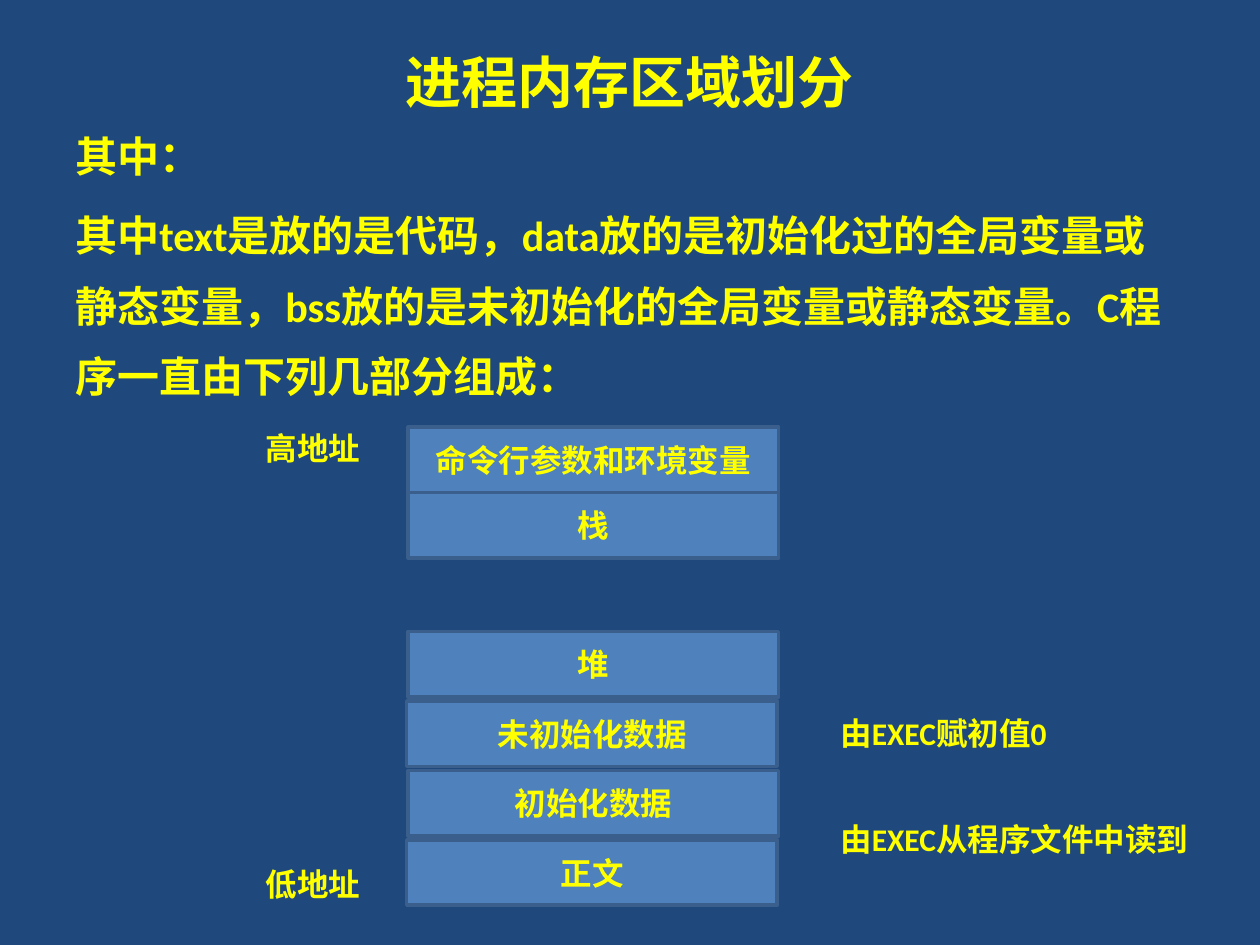
from pptx import Presentation
from pptx.dml.color import RGBColor
from pptx.enum.shapes import MSO_SHAPE
from pptx.enum.text import MSO_ANCHOR, MSO_AUTO_SIZE, PP_ALIGN
from pptx.util import Cm, Pt

NAVY = "1F497D"
YELLOW = "FFFF00"
BLUE = "4F81BD"
BORDER = "3A5F8C"

REGION_HEIGHT = 1.32
UPPER_TOP, UPPER_STEP = 8.61, REGION_HEIGHT
LOWER_TOP, LOWER_STEP = 12.73, 1.4
UPPER_REGIONS = [("命令行参数和环境变量", 8.23), ("栈", 8.23)]
LOWER_REGIONS = [("堆", 8.23), ("未初始化数据", 8.2), ("初始化数据", 8.23), ("正文", 8.2)]

LABELS = [
    ("高地址", 5.11, 8.53, 2.41, False),
    ("低地址", 5.11, 17.32, 2.41, False),
    ("由EXEC从程序文件中读到", 16.69, 16.41, 7.54, True),
    ("由EXEC赋初值0", 16.69, 14.27, 5.79, True),
]

INTRO = [
    "其中：",
    "其中text是放的是代码，data放的是初始化过的全局变量或静态变量，"
    "bss放的是未初始化的全局变量或静态变量。C程序一直由下列几部分组成：",
]


def color(value):
    return RGBColor.from_string(value)


def format_text(frame, size, align=PP_ALIGN.LEFT):
    for paragraph in frame.paragraphs:
        paragraph.alignment = align
        for run in paragraph.runs:
            run.font.name = "Calibri"
            run.font.size = Pt(size)
            run.font.bold = True
            run.font.color.rgb = color(YELLOW)


def set_title(slide, text):
    title = slide.shapes.title
    title.left, title.top, title.width, title.height = Cm(1.27), Cm(0.76), Cm(22.86), Cm(1.75)
    title.text_frame.text = text
    title.text_frame.auto_size = MSO_AUTO_SIZE.NONE
    title.text_frame.vertical_anchor = MSO_ANCHOR.MIDDLE
    format_text(title.text_frame, 32, PP_ALIGN.CENTER)


def add_intro(slide):
    intro = slide.shapes.add_textbox(Cm(1.27), Cm(2.51), Cm(22.86), Cm(6)).text_frame
    intro.word_wrap = True
    intro.text = "\n".join(INTRO)
    for paragraph in intro.paragraphs:
        paragraph.space_before = Pt(4.8)
    intro.paragraphs[1].line_spacing = 1.4
    format_text(intro, 24)


def add_region(slide, text, left, top):
    region = slide.shapes.add_shape(
        MSO_SHAPE.RECTANGLE, Cm(left), Cm(top), Cm(7.47), Cm(REGION_HEIGHT)
    )
    region.shadow.inherit = False
    region.fill.solid()
    region.fill.fore_color.rgb = color(BLUE)
    region.line.color.rgb = color(BORDER)
    region.line.width = Pt(2)
    region.text_frame.text = text
    region.text_frame.vertical_anchor = MSO_ANCHOR.MIDDLE
    format_text(region.text_frame, 18, PP_ALIGN.CENTER)


def add_stack(slide, regions, top, step):
    for index, (text, left) in enumerate(regions):
        add_region(slide, text, left, top + index * step)


def add_label(slide, text, left, top, width, wrap):
    label = slide.shapes.add_textbox(Cm(left), Cm(top), Cm(width), Cm(1.03)).text_frame
    label.word_wrap = wrap
    label.auto_size = MSO_AUTO_SIZE.SHAPE_TO_FIT_TEXT
    label.text = text
    format_text(label, 18)


def main():
    presentation = Presentation()
    presentation.slide_width = Cm(25.4)
    presentation.slide_height = Cm(19.05)
    slide = presentation.slides.add_slide(presentation.slide_layouts[5])
    slide.background.fill.solid()
    slide.background.fill.fore_color.rgb = color(NAVY)

    set_title(slide, "进程内存区域划分")
    add_intro(slide)
    add_stack(slide, UPPER_REGIONS, UPPER_TOP, UPPER_STEP)
    add_stack(slide, LOWER_REGIONS, LOWER_TOP, LOWER_STEP)
    for label in LABELS:
        add_label(slide, *label)

    presentation.save("out.pptx")


if __name__ == "__main__":
    main()
